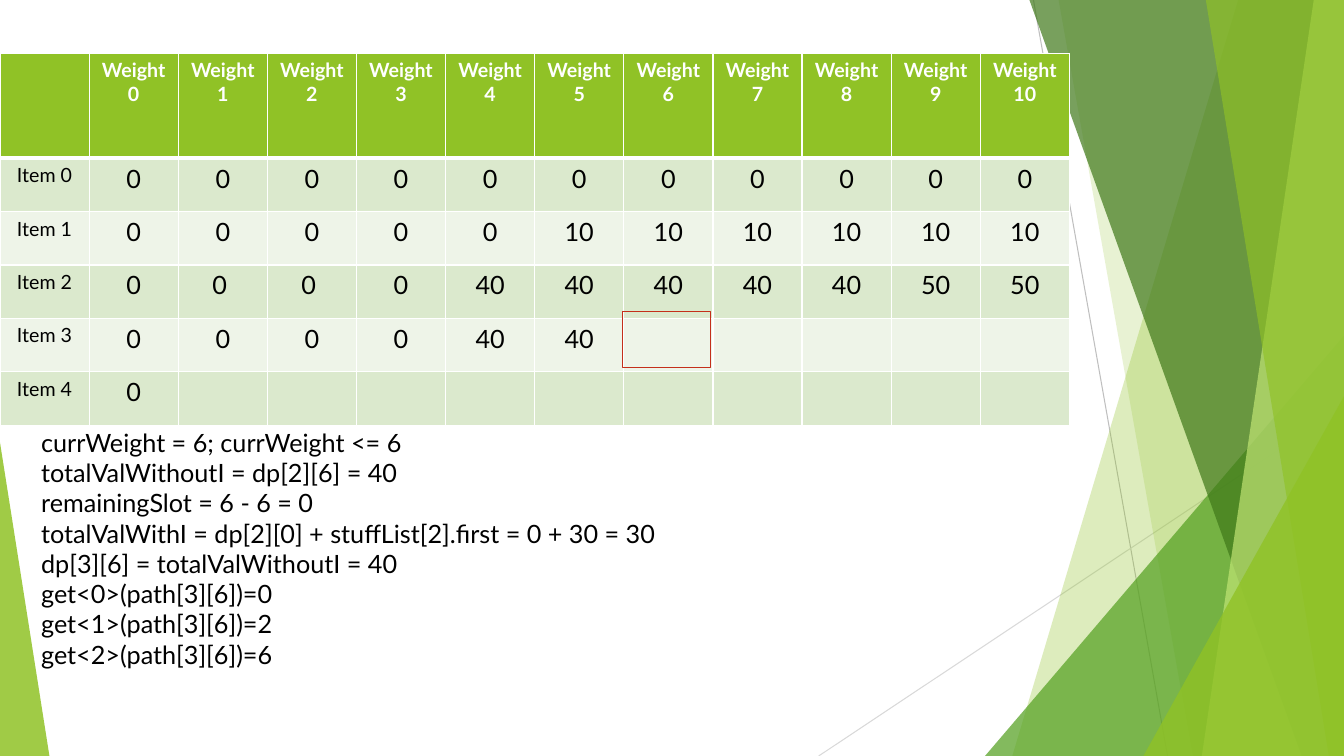
from dataclasses import dataclass

from lxml.etree import SubElement
from pptx import Presentation
from pptx.dml.color import RGBColor
from pptx.enum.shapes import MSO_CONNECTOR, MSO_SHAPE
from pptx.enum.text import PP_ALIGN
from pptx.oxml.ns import qn
from pptx.util import Inches, Pt


@dataclass(frozen=True)
class Theme:
    """Colours, font and type sizes of the deck."""
    font: str = "Lato"
    label_size: int = 14
    body_size: int = 18
    white: str = "FFFFFF"
    black: str = "000000"
    lime: str = "90C226"
    pale_lime: str = "C0E474"
    green: str = "54A021"
    dark_green: str = "3F7819"
    band_dark: str = "DBE9CD"
    band_light: str = "EEF4E8"
    line_dark: str = "BFBFBF"
    line_light: str = "D9D9D9"
    red: str = "C42F1A"


@dataclass(frozen=True)
class Box:
    """A region in inches."""
    left: float
    top: float
    width: float
    height: float

    @property
    def right(self):
        return self.left + self.width

    @property
    def bottom(self):
        return self.top + self.height

    def lengths(self):
        """Return left, top, width and height as slide lengths."""
        return [Inches(n) for n in (self.left, self.top, self.width, self.height)]


THEME = Theme()
PAGE_BOX = Box(0, 0, 13.33, 7.5)
TABLE_BOX = Box(0, 0.53, 10.61, 3.69)
CURRENT_CELL_BOX = Box(6.17, 3.09, 0.88, 0.56)
STEPS_BOX = Box(0.31, 4.19, 10.06, 3.43)
HEADER_HEIGHT = 1.04

WEIGHTS = [f"Weight {weight}" for weight in range(11)]
BEST_VALUES = [
    [0] * 11,
    [0] * 5 + [10] * 6,
    [0, "0 ", "0 ", 0] + [40] * 5 + [50] * 2,
    [0] * 4 + [40] * 2,
    [0],
]
STEPS = [
    "currWeight = 6; currWeight <= 6",
    "totalValWithoutI = dp[2][6] = 40",
    "remainingSlot = 6 - 6 = 0",
    "totalValWithI = dp[2][0] + stuffList[2].first = 0 + 30 = 30",
    "dp[3][6] = totalValWithoutI = 40",
    "get<0>(path[3][6])=0",
    "get<1>(path[3][6])=2",
    "get<2>(path[3][6])=6",
]


def write_text(para, text, size=THEME.body_size, color=THEME.black,
               bold=False, align=PP_ALIGN.LEFT):
    """Put one formatted span into a paragraph."""
    para.alignment = align
    span = para.add_run()
    span.text = text
    span.font.name = THEME.font
    span.font.size = Pt(size)
    span.font.bold = bold
    span.font.color.rgb = RGBColor.from_string(color)


def fill_shape(shape, color, opacity):
    """Give a shape a see-through fill, with no line or shadow."""
    shape.shadow.inherit = False
    shape.line.fill.background()
    shape.fill.solid()
    shape.fill.fore_color.rgb = RGBColor.from_string(color)
    tint = shape.fill._xPr.find(qn("a:solidFill"))[0]
    SubElement(tint, qn("a:alpha"), val=str(opacity * 1000))


def add_line(page, start, end, color):
    """Draw a thin straight line between two points."""
    points = [Inches(n) for n in (*start, *end)]
    line = page.shapes.add_connector(MSO_CONNECTOR.STRAIGHT, *points)
    line.line.color.rgb = RGBColor.from_string(color)
    line.line.width = Pt(0.75)
    SubElement(line._element.spPr, qn("a:effectLst"))


def add_wedge(page, box, top_reach, bottom_reach, color, opacity):
    """Draw a full-height wedge reaching in from the right edge of the box."""
    corners = [(box.right - top_reach, box.top), (box.right, box.top),
               (box.right, box.bottom), (box.right - bottom_reach, box.bottom)]
    corners = [(Inches(x), Inches(y)) for x, y in corners]
    outline = page.shapes.build_freeform(*corners[0])
    outline.add_line_segments(corners[1:], close=True)
    fill_shape(outline.convert_to_shape(), color, opacity)


def add_corner(page, box, width, height, color, opacity, on_right=True):
    """Draw a right triangle in a bottom corner of the box."""
    left = box.right - width if on_right else box.left
    area = Box(left, box.bottom - height, width, height)
    corner = page.shapes.add_shape(MSO_SHAPE.ISOSCELES_TRIANGLE, *area.lengths())
    corner.adjustments[0] = 1.0 if on_right else 0.0
    fill_shape(corner, color, opacity)


def add_facets(page, box):
    """Draw the green facets along the sides of the box."""
    add_line(page, (box.right - 3.08, box.top), (box.right - 1.75, box.bottom),
             THEME.line_dark)
    add_line(page, (box.right, box.top + 4.03), (box.right - 5.21, box.bottom),
             THEME.line_light)
    add_wedge(page, box, 1.05, 3.29, THEME.lime, 30)
    add_wedge(page, box, 2.83, 1.5, THEME.lime, 20)
    add_corner(page, box, 3.56, 4.17, THEME.green, 72)
    add_wedge(page, box, 3.12, 0.42, THEME.dark_green, 70)
    add_wedge(page, box, 0.3, 1.41, THEME.pale_lime, 70)
    add_wedge(page, box, 1.37, 0.15, THEME.lime, 65)
    add_corner(page, box, 1.99, 3.57, THEME.lime, 80)
    add_corner(page, box, 0.49, 3.11, THEME.lime, 85, on_right=False)


def format_cell(cell, fill, top_width, bottom_width):
    """Give a cell white borders and a plain fill."""
    widths = {"L": 1, "R": 1, "T": top_width, "B": bottom_width}
    properties = cell._tc.get_or_add_tcPr()
    for side, width in widths.items():
        border = SubElement(properties, qn(f"a:ln{side}"), w=str(Pt(width)))
        paint = SubElement(border, qn("a:solidFill"))
        SubElement(paint, qn("a:srgbClr"), val=THEME.white)
    cell.fill.solid()
    cell.fill.fore_color.rgb = RGBColor.from_string(fill)


def add_value_table(page, box):
    """Add the table of best values by item and weight."""
    rows = [["", *WEIGHTS]]
    rows += [[f"Item {item}", *values] for item, values in enumerate(BEST_VALUES)]
    columns = len(rows[0])
    table = page.shapes.add_table(len(rows), columns, *box.lengths()).table
    for column in table.columns:
        column.width = Inches(box.width / columns)
    item_height = (box.height - HEADER_HEIGHT) / len(BEST_VALUES)
    for row_index, values in enumerate(rows):
        header = row_index == 0
        table.rows[row_index].height = Inches(HEADER_HEIGHT if header else item_height)
        band = THEME.band_dark if row_index % 2 else THEME.band_light
        for column_index in range(columns):
            cell = table.cell(row_index, column_index)
            format_cell(cell, THEME.lime if header else band,
                        3 if row_index == 1 else 1, 3 if header else 1)
            text = str(values[column_index]) if column_index < len(values) else ""
            if text:
                label = header or column_index == 0
                write_text(cell.text_frame.paragraphs[0], text, bold=header,
                           size=THEME.label_size if label else THEME.body_size,
                           color=THEME.white if header else THEME.black,
                           align=PP_ALIGN.CENTER)


def add_cell_marker(page, box):
    """Outline the cell that is being worked out."""
    marker = page.shapes.add_shape(MSO_SHAPE.RECTANGLE, *box.lengths())
    marker.shadow.inherit = False
    marker.fill.background()
    marker.line.color.rgb = RGBColor.from_string(THEME.red)
    marker.line.width = Pt(0.75)


def add_steps(page, box):
    """List the steps of the calculation."""
    frame = page.shapes.add_textbox(*box.lengths()).text_frame
    frame.word_wrap = True
    for index, step in enumerate(STEPS):
        para = frame.add_paragraph() if index else frame.paragraphs[0]
        write_text(para, step)


deck = Presentation()
deck.slide_width, deck.slide_height = PAGE_BOX.lengths()[2:]
page = deck.slides.add_slide(deck.slide_layouts[6])
add_facets(page, PAGE_BOX)
add_value_table(page, TABLE_BOX)
add_cell_marker(page, CURRENT_CELL_BOX)
add_steps(page, STEPS_BOX)
deck.save("out.pptx")
